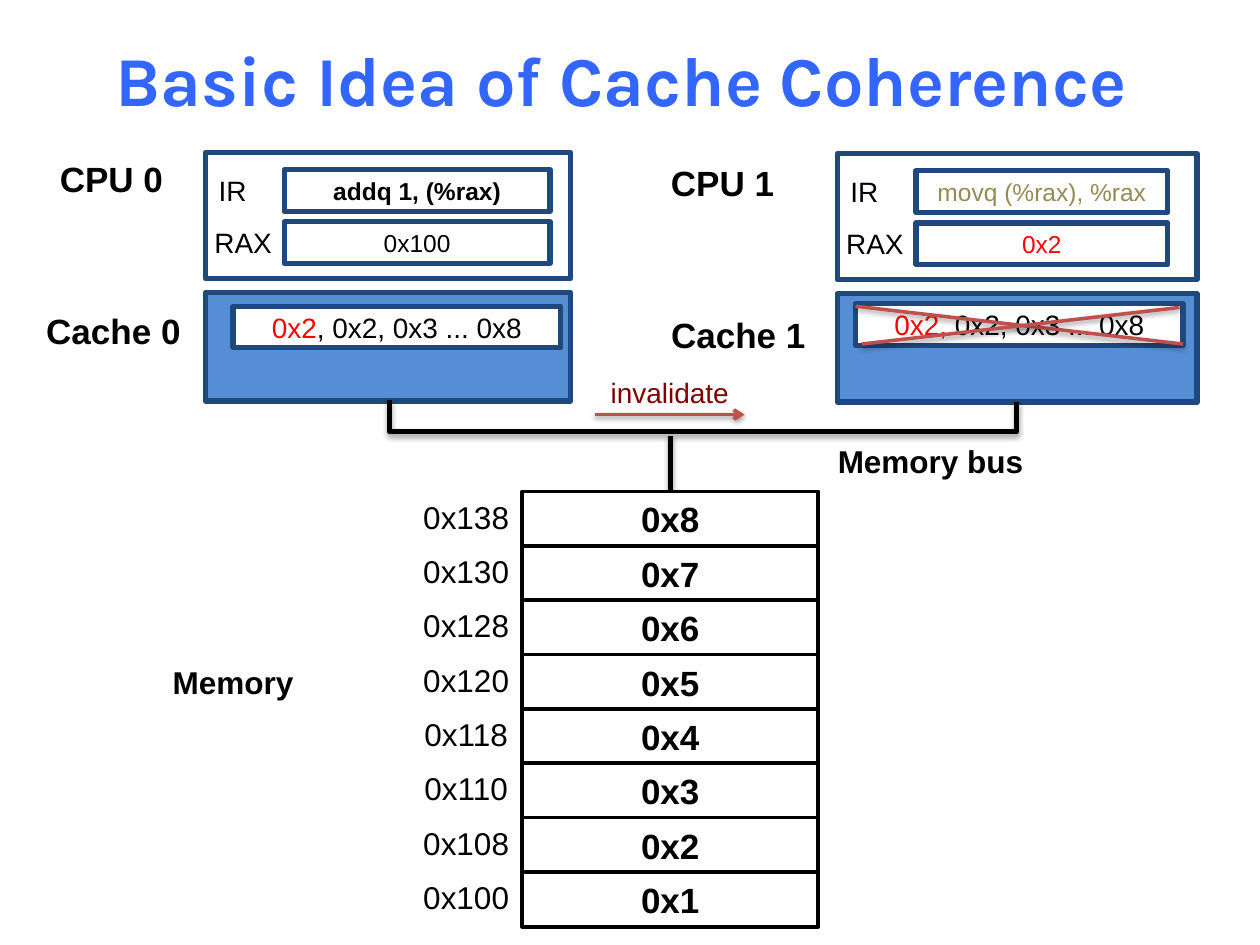
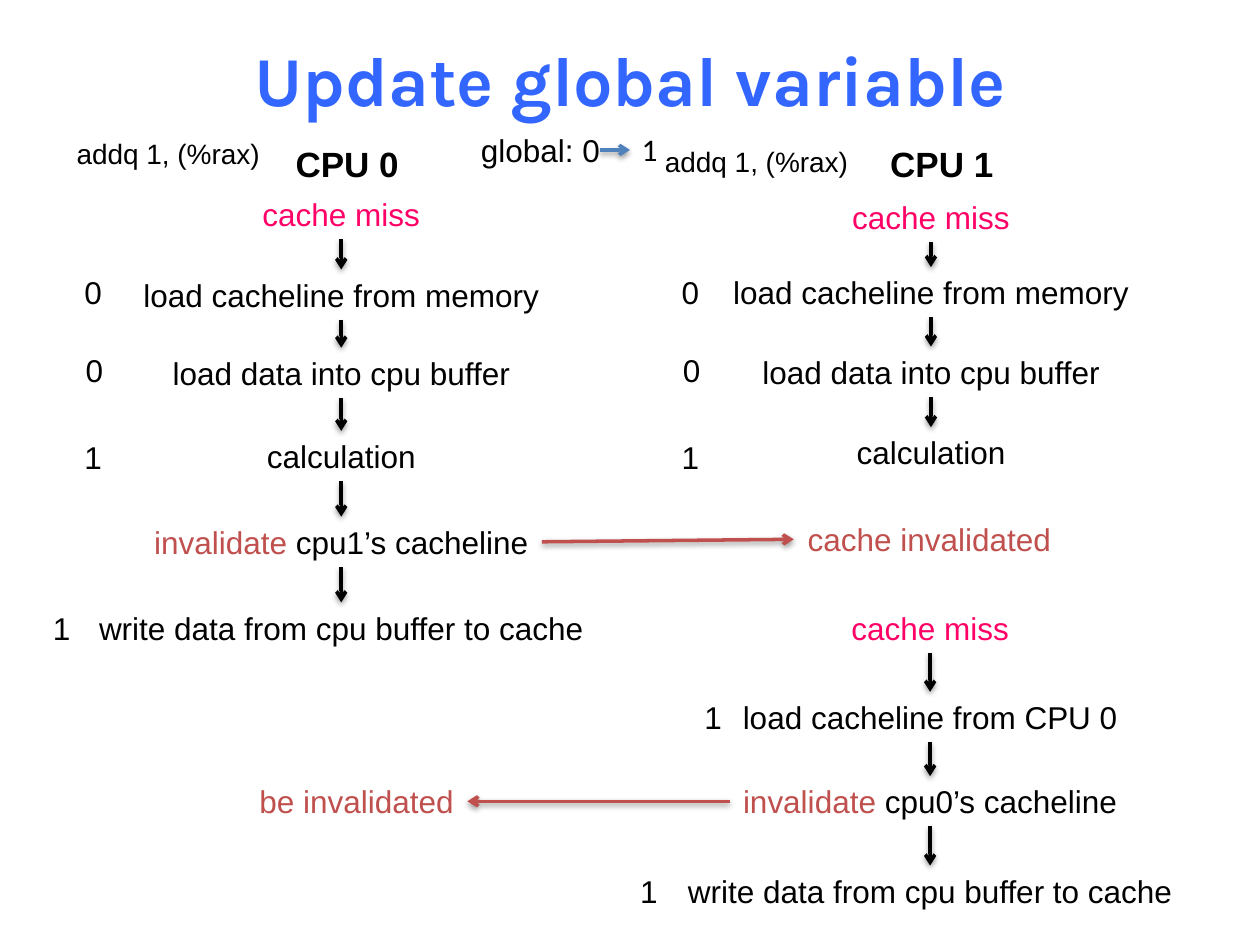
from lxml import etree
from pptx import Presentation
from pptx.dml.color import RGBColor
from pptx.enum.shapes import MSO_CONNECTOR, MSO_SHAPE
from pptx.enum.text import MSO_ANCHOR, PP_ALIGN
from pptx.oxml import parse_xml
from pptx.oxml.ns import qn
from pptx.util import Pt

STRAIGHT, ELBOW = MSO_CONNECTOR.STRAIGHT, MSO_CONNECTOR.ELBOW
RECTANGLE = MSO_SHAPE.RECTANGLE
CENTER, MIDDLE, TOP = PP_ALIGN.CENTER, MSO_ANCHOR.MIDDLE, MSO_ANCHOR.TOP

BLACK = RGBColor(0x00, 0x00, 0x00)
WHITE = RGBColor(0xFF, 0xFF, 0xFF)
TITLE_BLUE = RGBColor(0x33, 0x66, 0xFF)
NAVY = RGBColor(0x1F, 0x49, 0x7D)
CACHE_BLUE = RGBColor(0x55, 0x8E, 0xD5)
ARROW_BLUE = RGBColor(0x4F, 0x81, 0xBD)
RED = RGBColor(0xFF, 0x00, 0x00)
BRICK = RGBColor(0xC0, 0x50, 0x4D)
MAROON = RGBColor(0x80, 0x00, 0x00)
OLIVE = RGBColor(0x94, 0x8A, 0x54)
PINK = RGBColor(0xFF, 0x00, 0x66)

TITLE_FONT, BODY_FONT, DIGIT_FONT = "Karla", "Arial", "Calibri"
SHADOW = (
    '<a:effectLst xmlns:a="http://schemas.openxmlformats.org/drawingml/2006/main">'
    '<a:outerShdw blurRad="40000" dist="20000" dir="5400000" rotWithShape="0">'
    '<a:srgbClr val="000000"><a:alpha val="38000"/></a:srgbClr>'
    '</a:outerShdw></a:effectLst>'
)


class Deck:
    """Holds the shared style and the slide being drawn; lengths are points."""

    def __init__(self):
        self.presentation = Presentation()
        self.presentation.slide_width = Pt(720)
        self.presentation.slide_height = Pt(540)
        self.slide = None

    def add_slide(self, title):
        self.slide = self.presentation.slides.add_slide(self.presentation.slide_layouts[6])
        box = self.slide.shapes.add_textbox(Pt(36), Pt(0), Pt(648), Pt(90))
        box.text_frame.word_wrap = True
        self.set_text(box, title, 40, TITLE_BLUE, True, TITLE_FONT, anchor=MIDDLE)

    def set_text(self, shape, text, size, color=BLACK, bold=False, font=BODY_FONT,
                 tail="", anchor=TOP):
        """Put centred text in a shape; tail follows it in black."""
        frame = shape.text_frame
        frame.text = text
        frame.vertical_anchor = anchor
        paragraph = frame.paragraphs[0]
        paragraph.alignment = CENTER
        if tail:
            paragraph.add_run().text = tail
        for run, run_color in zip(paragraph.runs, (color, BLACK)):
            run.font.name = font
            run.font.size = Pt(size)
            run.font.bold = bold
            run.font.color.rgb = run_color

    def label(self, text, left, top, width, size=18, color=BLACK, **style):
        height = size * 1.2 + 7.2
        box = self.slide.shapes.add_textbox(Pt(left), Pt(top), Pt(width), Pt(height))
        box.text_frame.word_wrap = False
        self.set_text(box, text, size, color, **style)

    def box(self, left, top, width, height, fill=WHITE, line=NAVY, weight=3):
        shape = self.slide.shapes.add_shape(RECTANGLE, Pt(left), Pt(top), Pt(width), Pt(height))
        shape.shadow.inherit = False
        shape.fill.solid()
        shape.fill.fore_color.rgb = fill
        shape.line.color.rgb = line
        shape.line.width = Pt(weight)
        return shape

    def field(self, text, left, top, width, size=14, color=BLACK, **style):
        self.set_text(self.box(left, top, width, 23.8), text, size, color,
                      anchor=MIDDLE, **style)

    def line(self, start, end, color=BLACK, weight=2, arrow=False, kind=STRAIGHT):
        points = [Pt(value) for value in (*start, *end)]
        connector = self.slide.shapes.add_connector(kind, *points)
        connector.line.color.rgb = color
        connector.line.width = Pt(weight)
        properties = connector._element.spPr
        if arrow:
            etree.SubElement(properties.find(qn("a:ln")), qn("a:tailEnd"), type="arrow")
        properties.append(parse_xml(SHADOW))
        return connector

    def bus(self, left, right, top, depth):
        """Draw a U-shaped elbow: a one-point-wide connector turned by 270 degrees."""
        middle, half = (left + right) / 2, (right - left) / 2
        connector = self.line((middle + 0.5, top - half), (middle - 0.5, top + half),
                              weight=3, kind=ELBOW)
        properties = connector._element.spPr
        properties.find(qn("a:xfrm")).set("rot", "16200000")
        geometry = properties.find(qn("a:prstGeom"))
        adjustments = geometry.find(qn("a:avLst"))
        if adjustments is None:
            adjustments = etree.SubElement(geometry, qn("a:avLst"))
        etree.SubElement(adjustments, qn("a:gd"), name="adj1", fmla=f"val {depth * 100000}")

    def cpu(self, left, top, width, field_width, instruction, register):
        """Draw a CPU with its two registers, and the empty cache below it."""
        self.box(left, top, width, 72)
        self.box(left, top + 80, width, 62, fill=CACHE_BLUE)
        self.label("IR", left, top + 8.5, 31, 16)
        self.label("RAX", left - 2.2, top + 38, 47.5, 16)
        for offset, (text, style) in zip((9.8, 39.6), (instruction, register)):
            self.field(text, left + 45, top + offset, field_width, **style)

    def chain(self, center, steps):
        """Draw steps (top, width, text, style) joined by downward arrows."""
        for top, width, text, style in steps:
            self.label(text, center - width / 2, top, width, **style)
        for (top, *_), (next_top, *_) in zip(steps, steps[1:]):
            self.line((center, top + 28.8), (center, next_top), arrow=True)


def draw_cache_coherence(deck):
    deck.add_slide("Basic Idea of Cache Coherence ")

    deck.cpu(117.4, 87.2, 208.8, 152, ("addq 1, (%rax)", {"bold": True}), ("0x100", {}))
    deck.cpu(478.4, 87.8, 205.6, 144,
             ("movq (%rax), %rax", {"color": OLIVE}), ("0x2", {"color": RED}))
    for text, left, top, width in (("CPU 0", 26.6, 86.4, 74.2), ("Cache 0", 18.7, 173.5, 92.2),
                                   ("CPU 1", 375.8, 88.6, 74.2), ("Cache 1", 375.8, 175.7, 92.2)):
        deck.label(text, left, top, width, 20, bold=True)

    deck.bus(222.5, 581, 229.2, 18)
    deck.line((383, 249), (383, 281), weight=3)
    deck.label("Memory bus", 470.9, 249.1, 121.7, bold=True)

    deck.label("Memory", 90, 375.1, 86.4, bold=True)
    for row in range(8):
        top = 280.8 + 31.06 * row
        cell = deck.box(298.4, top, 169.2, 31.5, line=BLACK, weight=2)
        deck.set_text(cell, f"0x{8 - row}", 20, bold=True, anchor=MIDDLE)
        deck.label(f"0x{0x138 - 8 * row:x}", 234.4, top, 64)

    deck.field("0x2", 133.2, 175, 187.2, 16, RED, tail=", 0x2, 0x3 ... 0x8")
    deck.field("0x2,", 488.9, 173.5, 187.2, 16, RED, tail=" 0x2, 0x3 ... 0x8")
    deck.line((488.9, 175), (676, 196.6), BRICK)
    deck.line((492.5, 196.6), (674, 175.7), BRICK)
    deck.line((339.8, 236.9), (425.5, 236.9), BRICK, arrow=True)
    deck.label("invalidate", 341.3, 211, 82.8, 16, MAROON)


def draw_global_update(deck):
    deck.add_slide("Update global variable")

    for cpu, name_left, code_left, code_top in ((0, 161.3, 36, 74.2), (1, 501.1, 372.2, 79.2)):
        deck.label(f"CPU {cpu}", name_left, 77.8, 74.2, 20, bold=True)
        deck.label("addq 1, (%rax)", code_left, code_top, 120.2, 16)

    deck.label("global: 0", 267.1, 71.3, 83.5)
    deck.line((342.7, 85.7), (360, 85.7), ARROW_BLUE, arrow=True)
    deck.label("1", 359.3, 70.6, 23.8, font=DIGIT_FONT)

    miss = (105, "cache miss", {"color": PINK})
    load = (242.6, "load cacheline from memory", {})
    buffer = (209.5, "load data into cpu buffer", {})
    calculation = (100, "calculation", {})
    store = (295.2, "write data from cpu buffer to cache ", {})

    def invalidate(cpu):
        return 230.4, "invalidate", {"color": BRICK, "tail": f" cpu{cpu}’s cacheline"}

    deck.chain(195, [
        (108, *miss), (154, *load), (198.7, *buffer), (246.2, *calculation),
        (295.2, *invalidate(1)), (344.2, *store),
    ])
    deck.chain(532, [
        (109.4, *miss), (152.6, *load), (198, *buffer), (244.1, *calculation),
    ])
    deck.chain(531.5, [
        (344.2, *miss), (395.3, 230.4, "load cacheline from CPU 0", {}),
        (443.5, *invalidate(0)), (494.6, *store),
    ])

    deck.line((309.6, 309.6), (453.6, 308.2), BRICK, arrow=True)
    deck.label("cache invalidated", 453.6, 293.8, 154.8, color=BRICK)
    deck.line((416.9, 457.9), (267.1, 457.9), BRICK, arrow=True)
    deck.label("be invalidated", 140.4, 443.5, 126.7, color=BRICK)

    for column_left in (41, 382.3):
        for value, top, shift in (("0", 152.6, 0), ("0", 197.3, 0.7), ("1", 247, 0)):
            deck.label(value, column_left + shift, top, 24.4)
    for left, top in ((23, 344.2), (395.3, 395.3), (358.6, 494.6)):
        deck.label("1", left, top, 24.4)


def main():
    deck = Deck()
    draw_cache_coherence(deck)
    draw_global_update(deck)
    deck.presentation.save("out.pptx")


if __name__ == "__main__":
    main()
